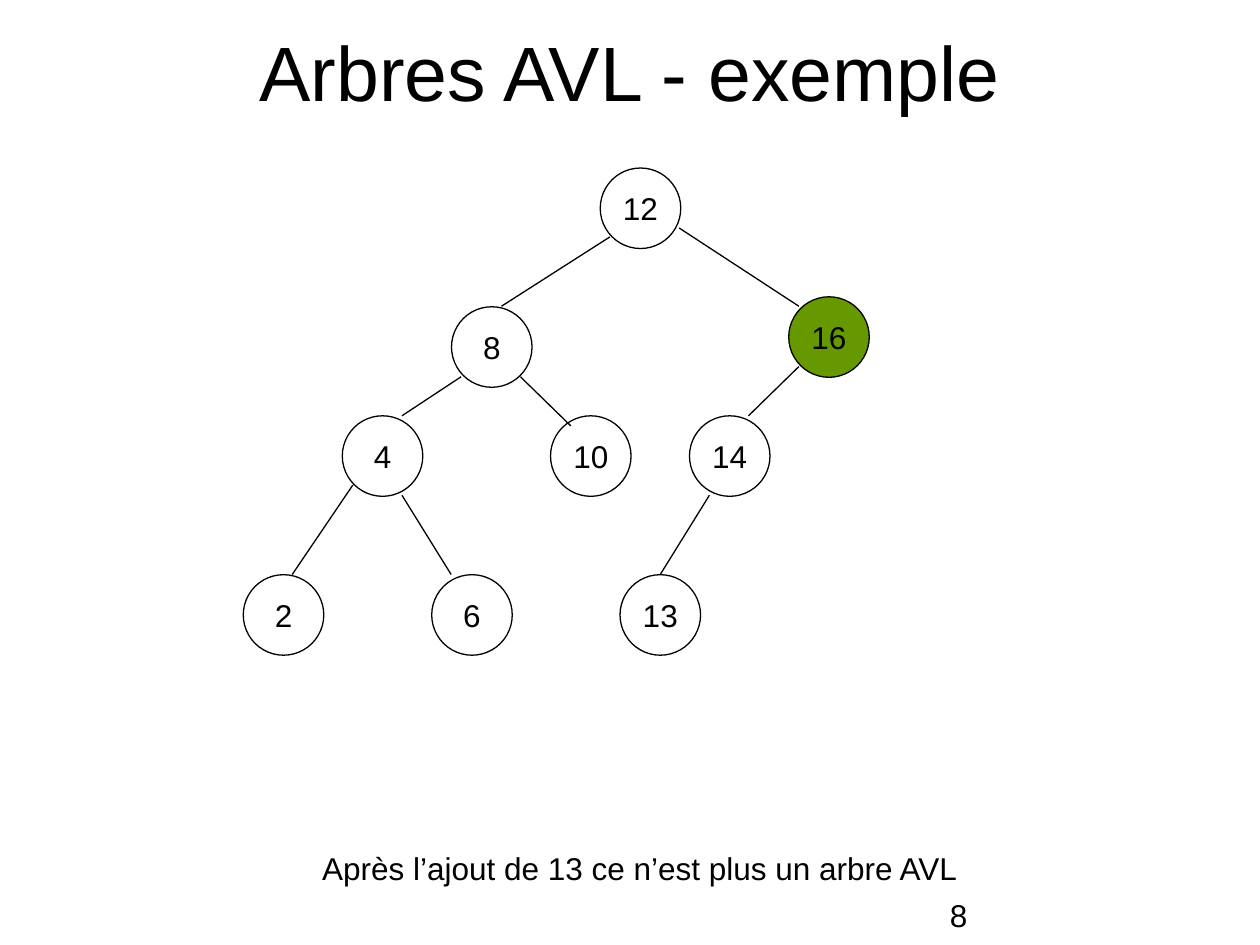
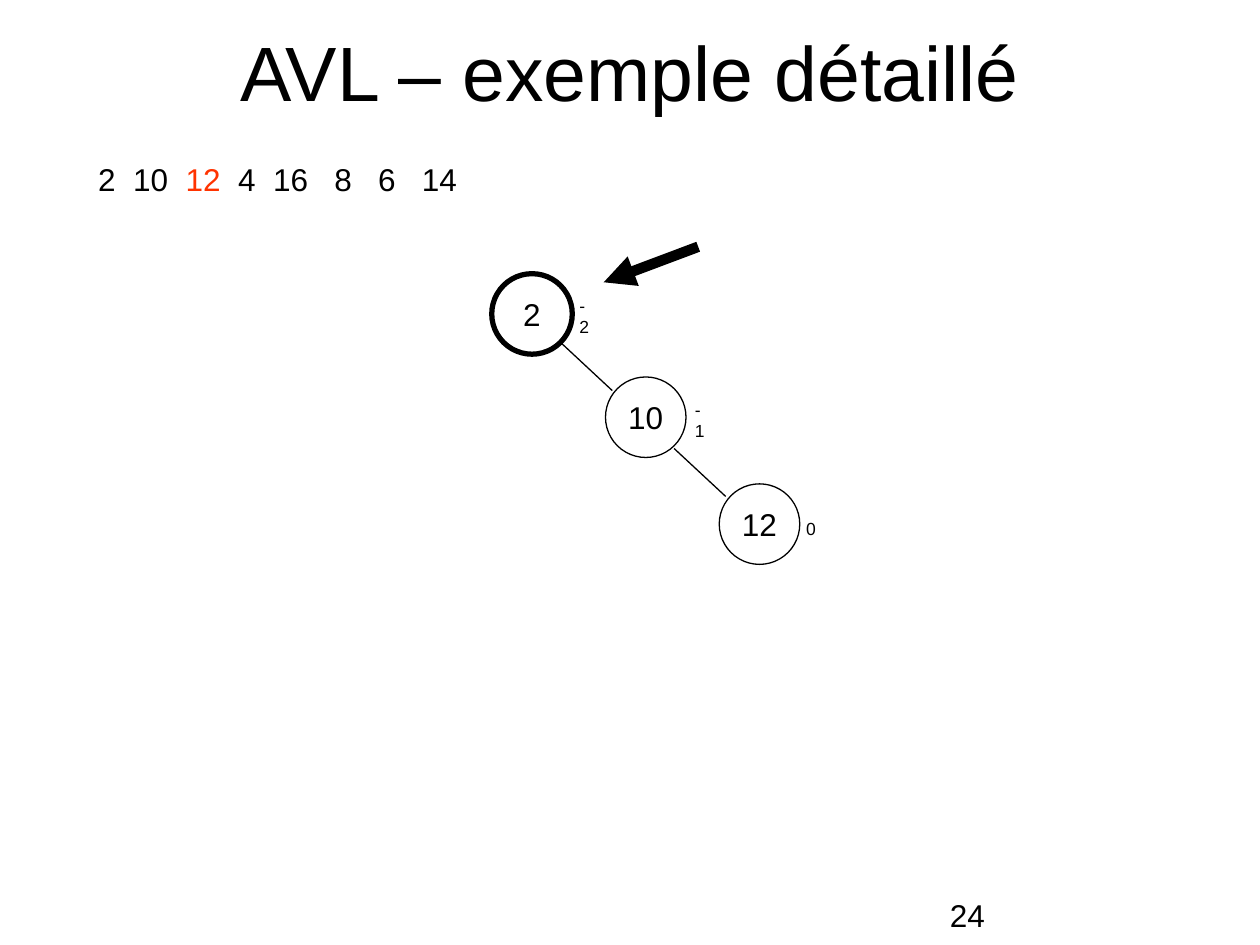
from pptx import Presentation
from pptx.dml.color import RGBColor
from pptx.enum.shapes import MSO_CONNECTOR, MSO_SHAPE
from pptx.enum.text import MSO_ANCHOR, PP_ALIGN
from pptx.oxml.ns import qn
from pptx.util import Pt
from lxml import etree

ELLIPSE = MSO_SHAPE.OVAL
STRAIGHT = MSO_CONNECTOR.STRAIGHT
MIDDLE, TOP = MSO_ANCHOR.MIDDLE, MSO_ANCHOR.TOP
CENTER, LEFT = PP_ALIGN.CENTER, PP_ALIGN.LEFT

COLORS = {"ink": "000000", "unbalanced": "669900", "inserted": "FF3300"}
FONT = "Arial"
DIAMETER = 46
THIN = 0.75


def style_text(frame, text, size=18, align=LEFT, anchor=TOP):
    frame.text = text
    frame.vertical_anchor = anchor
    para = frame.paragraphs[0]
    para.alignment = align
    for span in para.runs:
        span.font.name = FONT
        span.font.size = Pt(size)
        span.font.color.rgb = RGBColor.from_string(COLORS["ink"])


def add_text(page, left, top, width, height, text, wrap=True, **style):
    box = page.shapes.add_textbox(Pt(left), Pt(top), Pt(width), Pt(height))
    box.text_frame.word_wrap = wrap
    style_text(box.text_frame, text, **style)
    return box


# Nodes: value, centre x, centre y, outline width, fill colour
# Edges: x and y of the start, x and y of the end
slides = [
    {
        "title": "Arbres AVL - exemple",
        "number": "8",
        "nodes": [
            ("12", 366, 119, THIN, None),
            ("8", 281, 198.3, THIN, None),
            ("16", 473.7, 192.6, THIN, "unbalanced"),
            ("4", 218.6, 260.6, THIN, None),
            ("10", 337.6, 260.6, THIN, None),
            ("14", 417, 260.6, THIN, None),
            ("2", 162, 351.4, THIN, None),
            ("6", 269.7, 351.4, THIN, None),
            ("13", 377.3, 351.4, THIN, None),
        ],
        "edges": [
            (348.5, 135.4, 286.6, 175), (388.1, 130.3, 456.5, 175),
            (456.5, 209.5, 427.7, 237.6), (297.4, 215.3, 326.2, 243.4),
            (263.5, 215.3, 229.7, 237.6), (229.7, 283, 257.8, 328.3),
            (201.6, 277.2, 167, 328.3), (405.4, 283, 377.3, 328.3),
        ],
    },
    {
        "title": "AVL – exemple détaillé",
        "number": "24",
        "nodes": [
            ("2", 304, 179.4, 3, None),
            ("10", 369, 238.4, THIN, None),
            ("12", 434, 299.5, THIN, None),
        ],
        "edges": [(319.7, 195.1, 349.9, 223.2), (385.2, 256.3, 414.7, 283.7)],
    },
]

deck = Presentation()
deck.slide_width, deck.slide_height = Pt(720), Pt(540)
ink = RGBColor.from_string(COLORS["ink"])

# Title, tree and slide number of each page
for content in slides:
    page = deck.slides.add_slide(deck.slide_layouts[6])
    add_text(page, 14, 9.4, 692, 62.6, content["title"],
             size=44, align=CENTER, anchor=MIDDLE)

    for value, x, y, outline, fill in content["nodes"]:
        node = page.shapes.add_shape(
            ELLIPSE, Pt(x - DIAMETER / 2), Pt(y - DIAMETER / 2), Pt(DIAMETER), Pt(DIAMETER))
        node.shadow.inherit = False
        node.line.color.rgb = ink
        node.line.width = Pt(outline)
        if fill:
            node.fill.solid()
            node.fill.fore_color.rgb = RGBColor.from_string(COLORS[fill])
        else:
            node.fill.background()
        frame = node.text_frame
        frame.margin_left = frame.margin_right = frame.margin_top = frame.margin_bottom = 0
        frame.word_wrap = False
        style_text(frame, value, align=CENTER, anchor=MIDDLE)

    lines = [(edge, THIN) for edge in content["edges"]]
    if content is slides[1]:
        lines.append(((399, 141, 345, 161.3), 6))  # pointer to the unbalanced root
    for ends, width in lines:
        line = page.shapes.add_connector(STRAIGHT, *[Pt(value) for value in ends])
        line.line.color.rgb = ink
        line.line.width = Pt(width)
        if width > THIN:
            etree.SubElement(line.line._get_or_add_ln(), qn("a:tailEnd"), type="triangle")
        etree.SubElement(line._element.spPr, qn("a:effectLst"))

    add_text(page, 535.7, 508.3, 170, 20, content["number"])

# Caption of the first page
first_page, second_page = deck.slides
add_text(first_page, 177, 481.7, 379.5, 29, "Après l’ajout de 13 ce n’est plus un arbre AVL", wrap=False)

# Insertion sequence, with the value just inserted in red
sequence = add_text(second_page, 49, 87.8, 230, 29, "")
para = sequence.text_frame.paragraphs[0]
tab_list = etree.SubElement(para._p.get_or_add_pPr(), qn("a:tabLst"))
for stop in (20, 50, 80, 100, 135, 160, 185):
    etree.SubElement(tab_list, qn("a:tab"), pos=str(Pt(stop)), algn="l")
for text, color in (("2\t10\t", "ink"), ("12", "inserted"), ("\t4\t16\t8\t6\t14", "ink")):
    span = para.add_run()
    span.text = text
    span.font.name = FONT
    span.font.size = Pt(18)
    span.font.color.rgb = RGBColor.from_string(COLORS[color])

# Balance factors beside the nodes
for balance, left, top in (("-2", 324, 165), ("-1", 390, 224.6), ("0", 453.6, 292.3)):
    add_text(second_page, left, top, 23, 19.4, balance, wrap=False, size=10)

deck.save("out.pptx")
